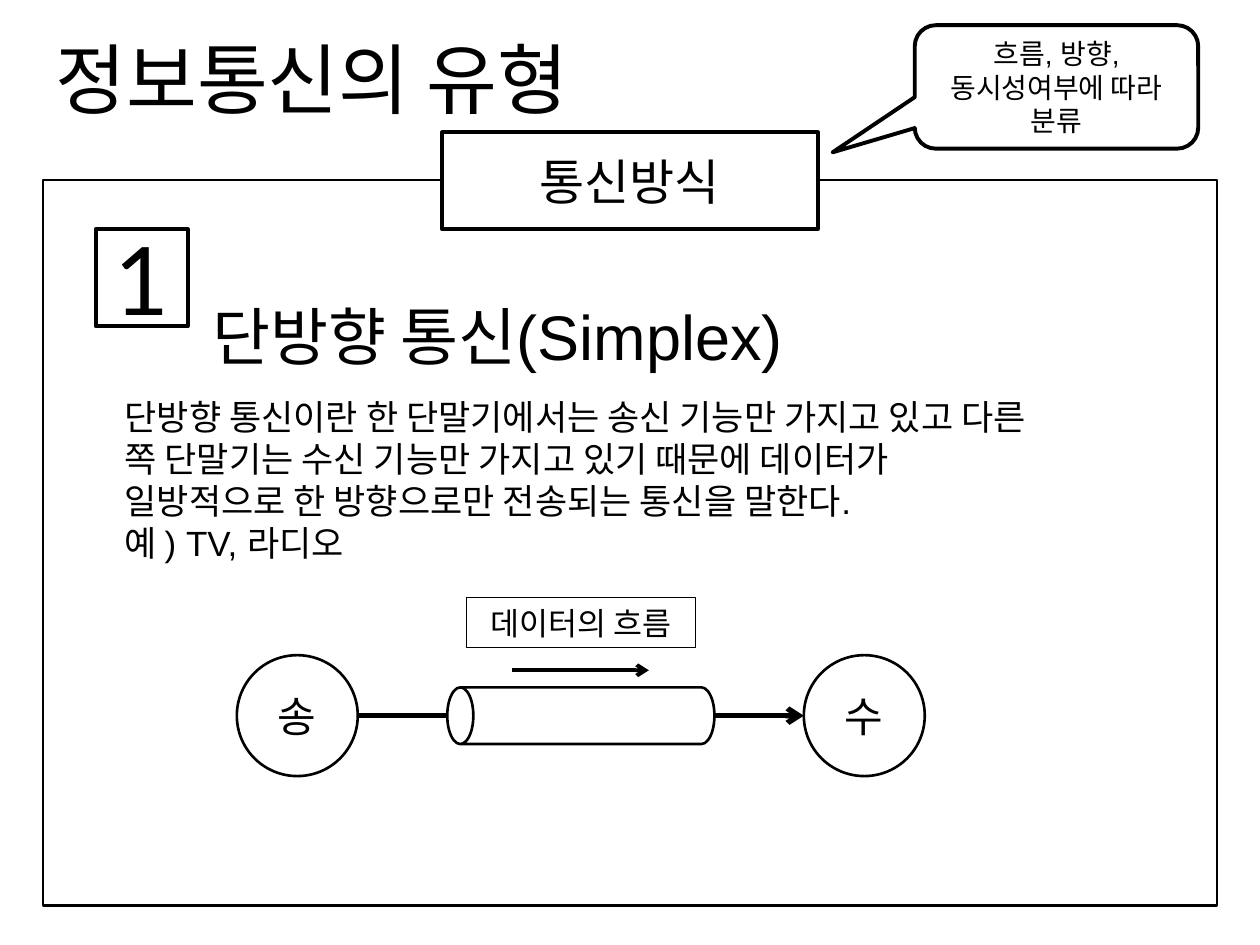
from pptx import Presentation
from pptx.dml.color import RGBColor
from pptx.enum.shapes import MSO_CONNECTOR as Link, MSO_SHAPE as Form
from pptx.enum.text import MSO_ANCHOR as Anchor, MSO_AUTO_SIZE as Fit, PP_ALIGN as Align
from pptx.oxml.ns import qn
from pptx.util import Inches, Pt
from lxml.etree import SubElement

BLACK = RGBColor(0, 0, 0)
WHITE = RGBColor(255, 255, 255)
BODY = """단방향 통신이란 한 단말기에서는 송신 기능만 가지고 있고 다른
쪽 단말기는 수신 기능만 가지고 있기 때문에 데이터가
일방적으로 한 방향으로만 전송되는 통신을 말한다.
예 ) TV, 라디오"""


def write(shape, text, size, font="Lato", align=Align.CENTER, anchor=Anchor.MIDDLE):
    """Put formatted text into a shape."""
    frame = shape.text_frame
    frame.word_wrap = True
    frame.auto_size = Fit.NONE
    frame.vertical_anchor = anchor
    para = frame.paragraphs[0]
    para.text = text
    para.alignment = align
    for run in para.runs:
        run.font.name = font
        run.font.size = Pt(size)
        run.font.color.rgb = BLACK


def draw(slide, form, box, line, text="", size=18, font="Lato"):
    """Add a white outlined shape with centred text."""
    shape = slide.shapes.add_shape(form, *map(Inches, box))
    shape.shadow.inherit = False
    shape.fill.solid()
    shape.fill.fore_color.rgb = WHITE
    shape.line.color.rgb = BLACK
    shape.line.width = Pt(line)
    if text:
        write(shape, text, size, font)
    return shape


def label(slide, box, text, size):
    """Add a plain text box, set from its top left."""
    area = slide.shapes.add_textbox(*map(Inches, box))
    write(area, text, size, "Arial", Align.LEFT, Anchor.TOP)


def arrow(slide, left, right, y, width):
    """Add a level arrow that points right."""
    link = slide.shapes.add_connector(
        Link.STRAIGHT, Inches(left), Inches(y), Inches(right), Inches(y))
    link.line.color.rgb = BLACK
    link.line.width = Pt(width)
    SubElement(link.line._get_or_add_ln(), qn("a:tailEnd"), type="arrow")
    SubElement(link._element.spPr, qn("a:effectLst"))


def head(slide, left, top, width, height):
    """Place the slide title."""
    title = slide.shapes.title
    title.left, title.top = Inches(left), Inches(top)
    title.width, title.height = Inches(width), Inches(height)
    write(title, "정보통신의 유형", 44, align=Align.LEFT, anchor=Anchor.TOP)


def panel(slide, left, top, width, height):
    """Draw the framed panel with its tab and callout."""
    draw(slide, Form.RECTANGLE, (left, top, width, height), 1.5)
    tab = 2.98
    draw(slide, Form.RECTANGLE, (left + (width - tab) / 2, top - 0.38, tab, 0.77),
         2.25, "통신방식", 28)
    note = draw(slide, Form.ROUNDED_RECTANGULAR_CALLOUT,
                (left + 6.92, top - 1.23, 2.25, 0.98), 2.25,
                "흐름, 방향, 동시성여부에 따라 분류", 16, "Arial")
    for index, value in enumerate((-0.79, 0.53, 0.17)):
        note.adjustments[index] = value


def topic(slide, left, top, width):
    """Place the number, heading and description."""
    draw(slide, Form.RECTANGLE, (left, top, 0.73, 0.77), 2.25, "1", 54)
    label(slide, (left + 0.83, top + 0.49, 5.08, 0.71), "단방향 통신(Simplex)", 36)
    label(slide, (left + 0.13, top + 1.27, width - 0.13, 1.45), BODY, 20)


def flow(slide, left, top, width):
    """Draw sender, pipe and receiver in a row."""
    size, long, thick = 0.96, 2.12, 0.45
    mid = top + 0.94
    centre = left + width / 2
    ends = left, left + width - size
    for x, text in zip(ends, "송수"):
        draw(slide, Form.OVAL, (x, mid - size / 2, size, size), 1.5, text, 24)
    arrow(slide, left + size, ends[1], mid, 3)
    arrow(slide, centre - 0.55, centre + 0.54, mid - 0.36, 2.25)
    pipe = draw(slide, Form.CAN,
                (centre - thick / 2, mid - long / 2, thick, long), 1.5)
    pipe.rotation = 270
    pipe.adjustments[0] = 0.46
    sign = draw(slide, Form.RECTANGLE, (centre - 0.91, top, 1.82, 0.4),
                0.75, "데이터의 흐름", 18)
    sign.fill.background()


def main():
    """Build and save the slide."""
    deck = Presentation()
    deck.slide_width, deck.slide_height = Inches(10), Inches(7.5)
    slide = deck.slides.add_slide(deck.slide_layouts[5])
    head(slide, 0.34, 0.2, 5.79, 0.84)
    panel(slide, 0.34, 1.43, 9.32, 5.76)
    topic(slide, 0.76, 1.82, 8.35)
    flow(slide, 1.88, 4.74, 5.46)
    deck.save("out.pptx")


if __name__ == "__main__":
    main()
